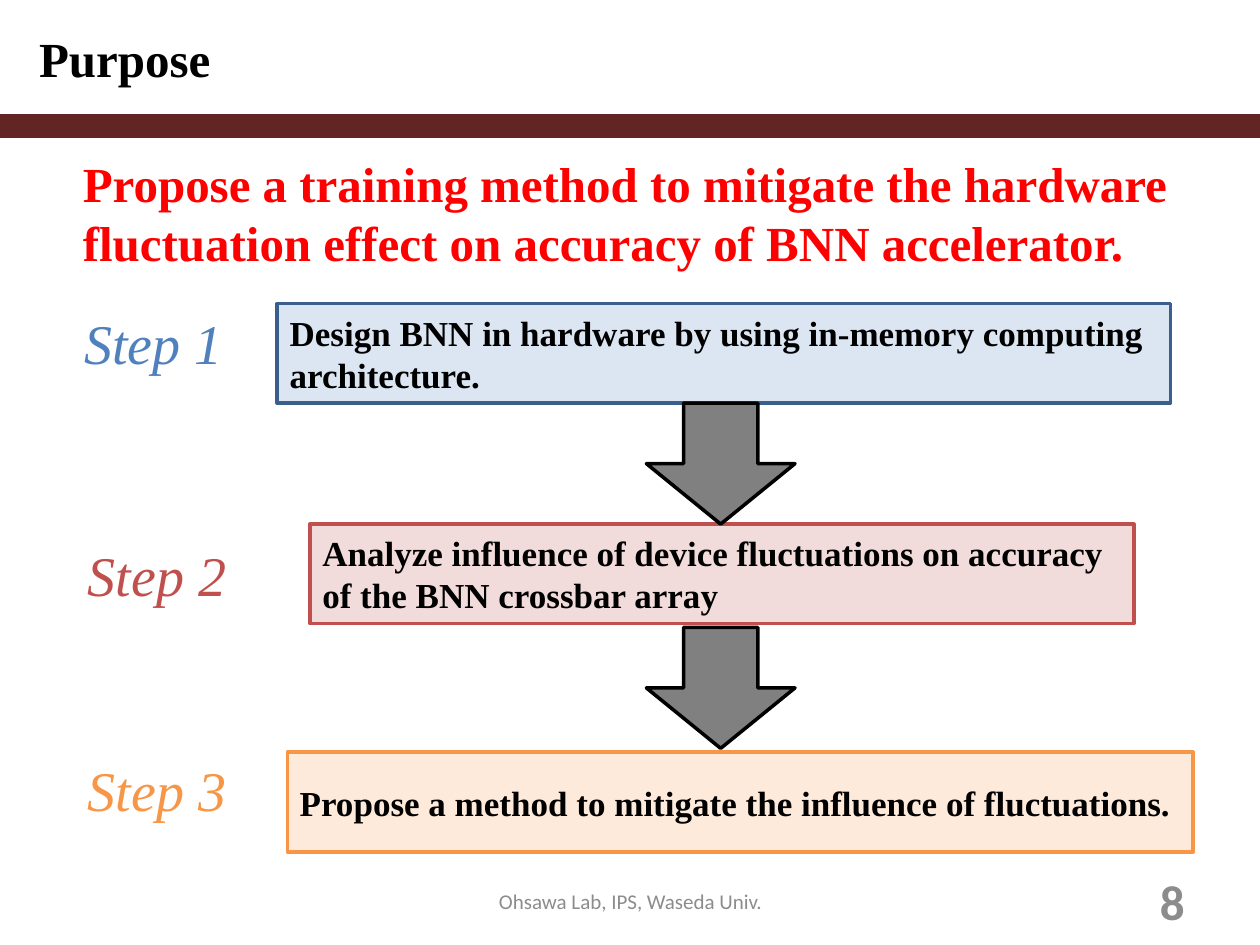
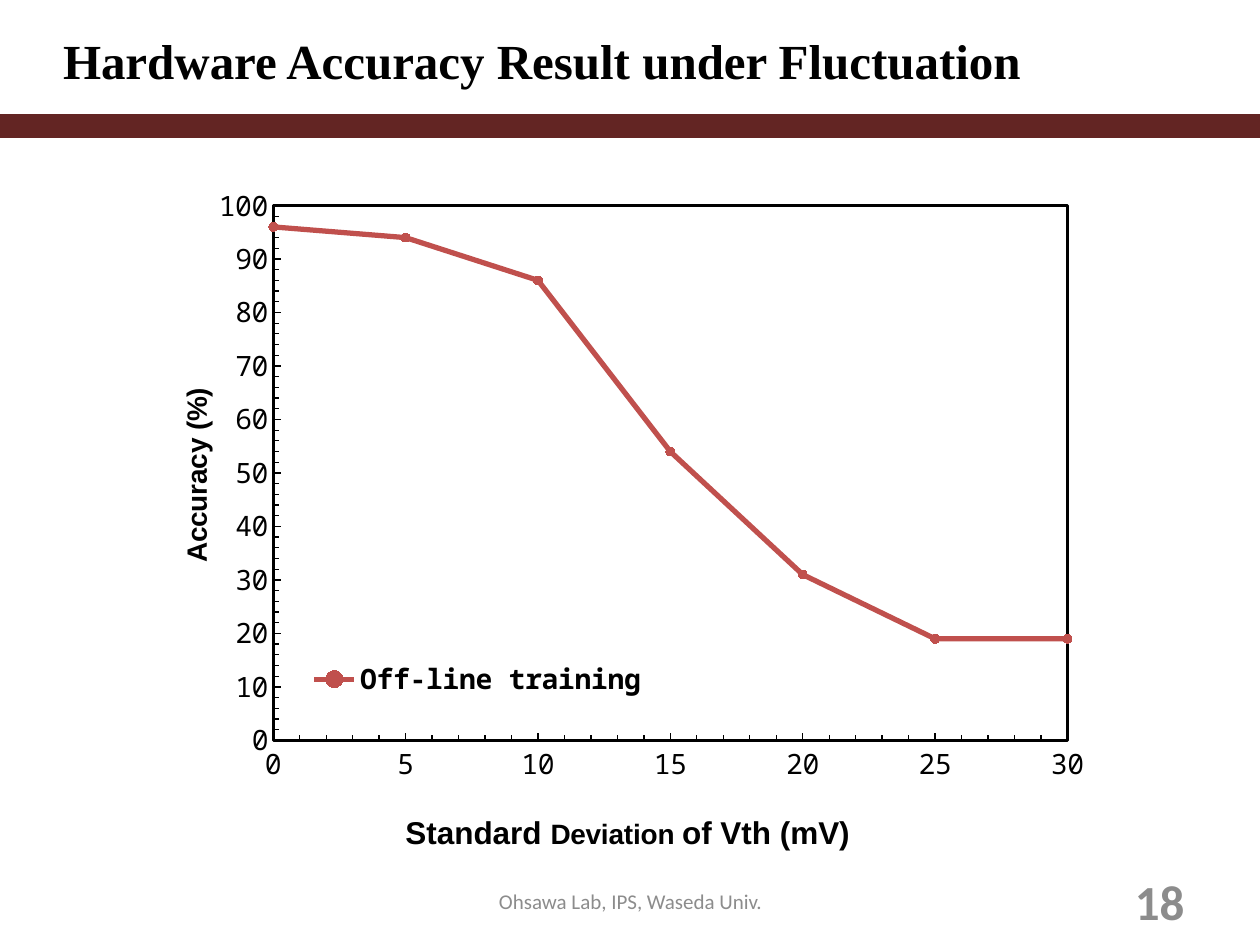
import pptx
import pptx.chart.data
import pptx.dml.color
import pptx.enum.chart
import pptx.enum.shapes
import pptx.enum.text
import pptx.oxml
import pptx.oxml.ns
import pptx.util

RGBColor = pptx.dml.color.RGBColor
Inches = pptx.util.Inches
Pt = pptx.util.Pt
ALIGN = pptx.enum.text.PP_ALIGN
ANCHOR = pptx.enum.text.MSO_ANCHOR
SHAPE = pptx.enum.shapes.MSO_SHAPE
TICK = pptx.enum.chart.XL_TICK_MARK

BLACK = RGBColor(0, 0, 0)
GREY = RGBColor(0x8C, 0x8C, 0x8C)
ARROW_GREY = RGBColor(0x80, 0x80, 0x80)
MAROON = RGBColor(0x63, 0x25, 0x23)
ALERT_RED = RGBColor(0xFF, 0, 0)
BLUE = RGBColor(0x4F, 0x81, 0xBD)
DARK_BLUE = RGBColor(0x3A, 0x5F, 0x8C)
PALE_BLUE = RGBColor(0xDC, 0xE6, 0xF2)
RED = RGBColor(0xC0, 0x50, 0x4D)
PALE_RED = RGBColor(0xF2, 0xDC, 0xDB)
ORANGE = RGBColor(0xF7, 0x96, 0x46)
PALE_ORANGE = RGBColor(0xFD, 0xEA, 0xDA)

SERIF, SANS, MONO, FOOTER_FONT = "Times New Roman", "Arial", "Noto Sans Mono", "Calibri"
TITLE = {"name": SERIF, "size": Pt(28), "bold": True, "color": BLACK}
HEADLINE = {**TITLE, "color": ALERT_RED}
STEP_TEXT = {**TITLE, "size": Pt(20)}
STEP_LABEL = {"name": SERIF, "size": Pt(32), "italic": True}
FOOTER = {"name": FOOTER_FONT, "size": Pt(12), "color": GREY}
PAGE_NUMBER = {**FOOTER, "size": Pt(28), "bold": True}
TICK_LABEL = {"name": MONO, "size": Pt(16), "bold": False, "color": BLACK}
LEGEND = {**TICK_LABEL, "bold": True}
AXIS_TITLE = {"name": SANS, "size": Pt(16), "bold": True, "color": BLACK}
AXIS_TITLE_LARGE = {**AXIS_TITLE, "size": Pt(18)}

SLIDE_WIDTH, SLIDE_HEIGHT = 10, 7.5
FOOTER_TOP, FOOTER_HEIGHT = 6.95, 0.4
FOOTER_TEXT = "Ohsawa Lab, IPS, Waseda Univ."

PURPOSE = {"title": "Purpose", "title_box": (0.21, 0.18, 1.58, 0.57), "page": 8}
PURPOSE_HEADLINE = (
    "Propose a training method to mitigate the hardware fluctuation effect "
    "on accuracy of BNN accelerator."
)
BOX_HEIGHT = 0.79
ARROW_LEFT, ARROW_WIDTH, ARROW_HEIGHT = 5.13, 1.18, 0.96
ARROW_TOPS = (3.2, 4.98)
# text, box (left, top, width), label (left, top), label colour, fill, line
STEPS = [
    ("Design BNN in hardware by using in-memory computing architecture.",
     (2.2, 2.41, 7.09), (0.57, 2.4), BLUE, PALE_BLUE, DARK_BLUE),
    ("Analyze influence of device fluctuations on accuracy of the BNN crossbar array",
     (2.46, 4.16, 6.54), (0.6, 4.24), RED, PALE_RED, RED),
    ("Propose a method to mitigate the influence of fluctuations.",
     (2.28, 5.97, 7.19), (0.6, 5.95), ORANGE, PALE_ORANGE, ORANGE),
]

RESULT = {"title": "Hardware Accuracy Result under Fluctuation",
          "title_box": (0.4, 0.19, 8.2, 0.57), "page": 18}
CHART_BOX = (1.22, 1.26, 7.56, 5.74)
SERIES_NAME = "Off-line training"
DEVIATIONS = range(0, 31, 5)
ACCURACIES = (96, 94, 86, 54, 31, 19, 19)
DEVIATION_TITLE = [("Standard ", AXIS_TITLE_LARGE), ("Deviation ", AXIS_TITLE),
                   ("of Vth (mV)", AXIS_TITLE_LARGE)]
ACCURACY_TITLE = [("Accuracy (%)", AXIS_TITLE)]
DEVIATION_SCALE = {"minimum_scale": 0, "maximum_scale": 30, "major_unit": 5, "minor_unit": 1}
ACCURACY_SCALE = {"minimum_scale": 0, "maximum_scale": 100, "major_unit": 10, "minor_unit": 2}
AXIS_FORMAT = {"has_major_gridlines": False, "has_minor_gridlines": False,
               "major_tick_mark": TICK.INSIDE, "minor_tick_mark": TICK.INSIDE}
# shares of the chart's size
PLOT_SHARE = (0.125, 0.064, 0.835, 0.741)
LEGEND_SHARE = (0.16, 0.69, 0.36, 0.06)
DEVIATION_TITLE_SHARE = (0.26, 0.9)
ACCURACY_TITLE_SHARE = (0.02, 0.31)


def set_font(font, style):
    for key, value in style.items():
        if key == "color":
            font.color.rgb = value
        else:
            setattr(font, key, value)


def write(shape, text, style, align=ALIGN.LEFT, anchor=ANCHOR.TOP):
    frame = shape.text_frame
    frame.word_wrap = True
    frame.vertical_anchor = anchor
    paragraph = frame.paragraphs[0]
    paragraph.alignment = align
    run = paragraph.add_run()
    run.text = text
    set_font(run.font, style)


def add_text(slide, box, *text_format):
    write(slide.shapes.add_textbox(*map(Inches, box)), *text_format)


def add_block(slide, kind, box, fill, line):
    shape = slide.shapes.add_shape(kind, *map(Inches, box))
    shape.shadow.inherit = False
    shape.fill.solid()
    shape.fill.fore_color.rgb = fill
    shape.line.color.rgb = line
    shape.line.width = Pt(2)
    return shape


def add_slide(presentation, heading):
    """Add a slide with the shared title style, band and footer."""
    slide = presentation.slides.add_slide(presentation.slide_layouts[5])
    title = slide.shapes.title
    title.left, title.top, title.width, title.height = map(Inches, heading["title_box"])
    write(title, heading["title"], TITLE)
    add_block(slide, SHAPE.RECTANGLE, (0, 0.92, SLIDE_WIDTH, 0.16), MAROON, MAROON)
    add_text(slide, (3.42, FOOTER_TOP, 3.17, FOOTER_HEIGHT),
             FOOTER_TEXT, FOOTER, ALIGN.CENTER, ANCHOR.MIDDLE)
    add_text(slide, (7.17, FOOTER_TOP, 2.33, FOOTER_HEIGHT),
             str(heading["page"]), PAGE_NUMBER, ALIGN.RIGHT, ANCHOR.MIDDLE)
    return slide


def build_purpose(presentation):
    slide = add_slide(presentation, PURPOSE)
    add_text(slide, (0.56, 1.17, 9.2, 1.04), PURPOSE_HEADLINE, HEADLINE)
    for number, (text, box, label, color, fill, line) in enumerate(STEPS, 1):
        block = add_block(slide, SHAPE.RECTANGLE, (*box, BOX_HEIGHT), fill, line)
        write(block, text, STEP_TEXT, ALIGN.LEFT, ANCHOR.MIDDLE)
        add_text(slide, (*label, 1.5, 0.64), f"Step {number}", {**STEP_LABEL, "color": color})
    for top in ARROW_TOPS:
        add_block(slide, SHAPE.DOWN_ARROW, (ARROW_LEFT, top, ARROW_WIDTH, ARROW_HEIGHT),
                  ARROW_GREY, BLACK)


def chart_xml(body):
    namespaces = pptx.oxml.ns.nsdecls("c", "a")
    tag, rest = body.split(">", 1)
    return pptx.oxml.parse_xml(f"{tag} {namespaces}>{rest}")


def set_layout(element, index, share, inner=False):
    """Place a chart part at shares of the chart's width and height."""
    for old in element.findall(pptx.oxml.ns.qn("c:layout")):
        element.remove(old)
    target = '<c:layoutTarget val="inner"/>' if inner else ""
    modes = '<c:xMode val="edge"/><c:yMode val="edge"/>'
    values = "".join(f'<c:{key} val="{value}"/>' for key, value in zip("xywh", share))
    element.insert(index, chart_xml(
        f"<c:layout><c:manualLayout>{target}{modes}{values}</c:manualLayout></c:layout>"))


def area_format(line, points):
    return chart_xml(
        '<c:spPr><a:solidFill><a:srgbClr val="FFFFFF"/></a:solidFill>'
        f'<a:ln w="{Pt(points)}"><a:solidFill><a:srgbClr val="{line}"/></a:solidFill></a:ln></c:spPr>')


def format_axis(axis, scale, title_runs, title_share):
    for key, value in {**AXIS_FORMAT, **scale}.items():
        setattr(axis, key, value)
    axis.format.line.color.rgb = BLACK
    axis.format.line.width = Pt(0.75)
    set_font(axis.tick_labels.font, TICK_LABEL)
    axis.tick_labels.number_format = "General"
    axis.tick_labels.number_format_is_linked = False
    title = axis.axis_title
    paragraph = title.text_frame.paragraphs[0]
    set_font(paragraph.font, title_runs[0][1])
    for text, style in title_runs:
        run = paragraph.add_run()
        run.text = text
        set_font(run.font, style)
    set_layout(title._element, 1, title_share)


def build_result(presentation):
    slide = add_slide(presentation, RESULT)
    data = pptx.chart.data.XyChartData()
    points = data.add_series(SERIES_NAME)
    for deviation, accuracy in zip(DEVIATIONS, ACCURACIES):
        points.add_data_point(deviation, accuracy)
    chart = slide.shapes.add_chart(pptx.enum.chart.XL_CHART_TYPE.XY_SCATTER_LINES,
                                   *map(Inches, CHART_BOX), data).chart
    chart.has_title = False
    set_font(chart.font, {"name": FOOTER_FONT, "size": Pt(10), "color": BLACK})
    format_axis(chart.category_axis, DEVIATION_SCALE, DEVIATION_TITLE, DEVIATION_TITLE_SHARE)
    format_axis(chart.value_axis, ACCURACY_SCALE, ACCURACY_TITLE, ACCURACY_TITLE_SHARE)
    body = chart.value_axis.axis_title._element.find(".//" + pptx.oxml.ns.qn("a:bodyPr"))
    body.set("rot", "-5400000")
    body.set("vert", "horz")

    plot = chart.plots[0]
    plot.vary_by_categories = False
    series = plot.series[0]
    series.smooth = False
    series.format.line.color.rgb = RED
    series.format.line.width = Pt(3)
    series.marker.style = pptx.enum.chart.XL_MARKER_STYLE.CIRCLE
    series.marker.size = 5
    series.marker.format.fill.solid()
    series.marker.format.fill.fore_color.rgb = RED
    series.marker.format.line.color.rgb = RED

    chart.has_legend = True
    chart.legend.position = pptx.enum.chart.XL_LEGEND_POSITION.RIGHT
    chart.legend.include_in_layout = True
    set_font(chart.legend.font, LEGEND)
    set_layout(chart.legend._element, 1, LEGEND_SHARE)

    chart_element = chart._chartSpace.find(pptx.oxml.ns.qn("c:chart"))
    plot_area = chart_element.find(pptx.oxml.ns.qn("c:plotArea"))
    set_layout(plot_area, 0, PLOT_SHARE, inner=True)
    plot_area.append(area_format(BLACK, 2))
    chart_element.addnext(area_format("FFFFFF", 0.75))


def main():
    presentation = pptx.Presentation()
    presentation.slide_width = Inches(SLIDE_WIDTH)
    presentation.slide_height = Inches(SLIDE_HEIGHT)
    build_purpose(presentation)
    build_result(presentation)
    presentation.save("out.pptx")


if __name__ == "__main__":
    main()
